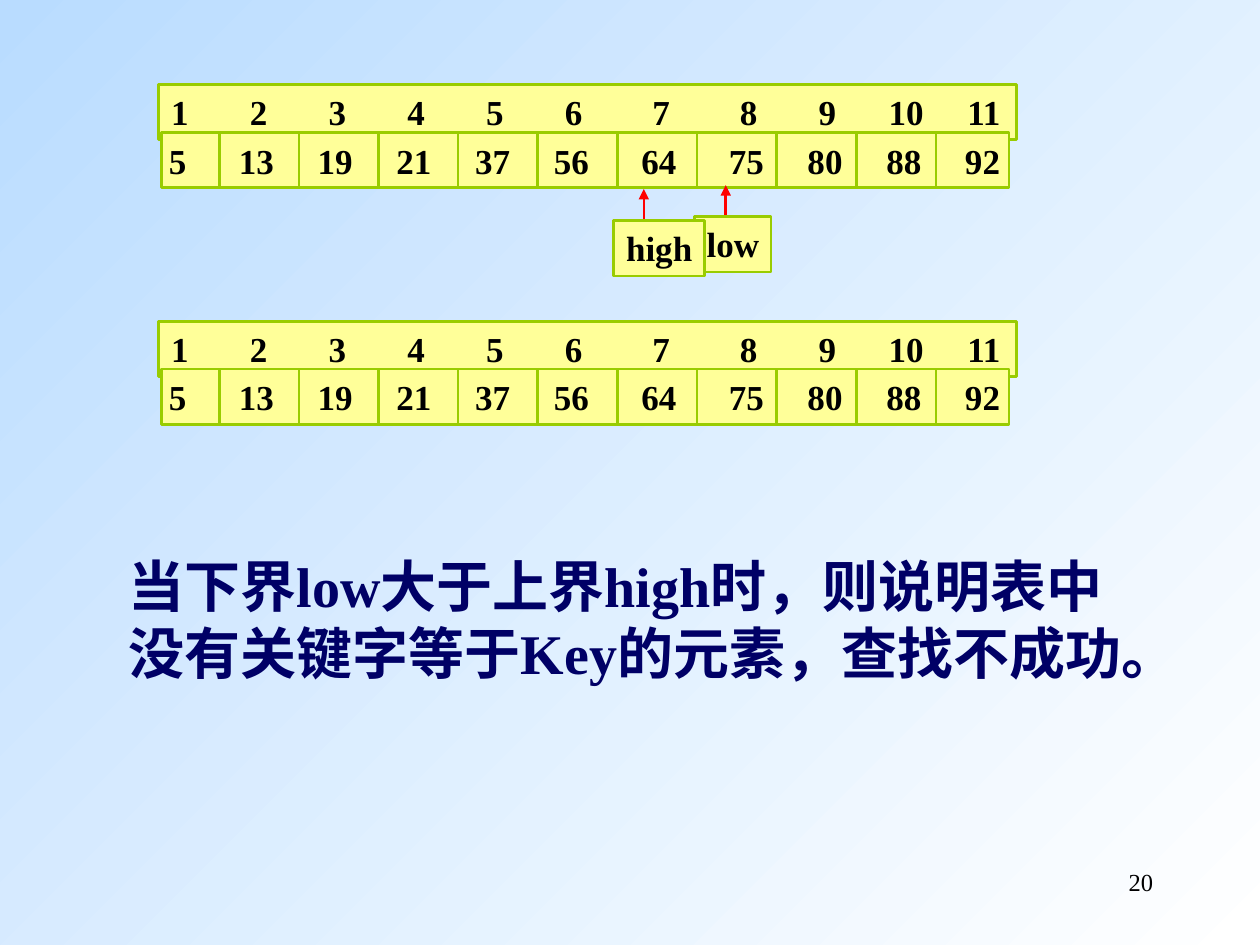
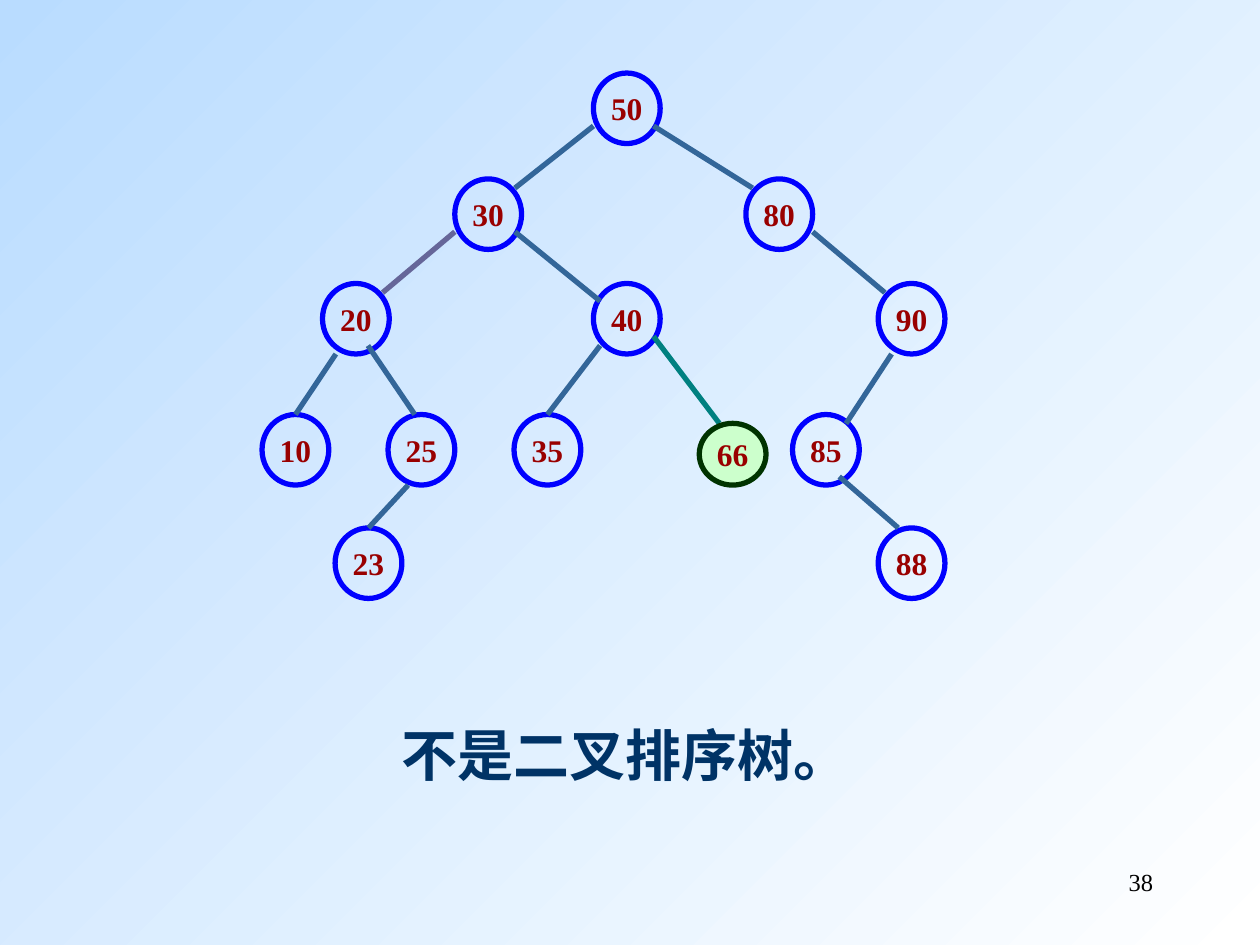
from dataclasses import dataclass
from itertools import accumulate
from pptx import Presentation
from pptx.dml.color import RGBColor
from pptx.enum.shapes import MSO_CONNECTOR, MSO_SHAPE
from pptx.enum.text import MSO_ANCHOR, PP_ALIGN
from pptx.oxml.ns import qn
from pptx.util import Inches, Pt
from lxml.etree import SubElement

INDEX = list(range(1, 12))
KEYS = [5, 13, 19, 21, 37, 56, 64, 75, 80, 88, 92]
INDEX_GAPS = [7, 7, 7, 7, 7, 8, 8, 7, 6, 5]
KEY_GAPS = [6, 5, 5, 5, 5, 6, 6, 5, 5, 5]
ARRAY_TOPS = [0.67, 2.55]
MARKS = [("low", 5.51, 1.72, 0.61, 5.76), ("high", 4.87, 1.75, 0.72, 5.11)]
RULE = "当下界low大于上界high时，则说明表中没有关键字等于Key的元素，查找不成功。"
VERDICT = "不是二叉排序树。"

LEVELS = [0.58, 1.42, 2.25, 3.29, 4.19]
NODES = {
    50: (4.71, 0), 30: (3.61, 1), 80: (5.92, 1), 20: (2.56, 2),
    90: (6.97, 2), 10: (2.08, 3), 85: (6.29, 3), 40: (4.71, 2),
    35: (4.08, 3), 25: (3.08, 3), 23: (2.66, 4), 88: (6.97, 4),
}
ODD_KEY, ODD_BOX = 66, (5.55, 3.36, 0.53, 0.49)
NODE_W, NODE_H = 0.53, 0.56
WEST, EAST = (0, 0.75), (0.9, 0.75)
NE, NW, TOP = (0.9, 0.13), (0.1, 0.13), (0.5, 0)
EDGES = [
    (50, WEST, 30, NE), (30, WEST, 20, NE), (50, EAST, 80, NW),
    (30, EAST, 40, (0.1, 0.25)), (20, (0.2, 1), 10, TOP),
    (20, (0.68, 0.88), 25, (0.4, 0)), (25, (0.3, 1), 23, TOP),
    (40, (0.1, 0.88), 35, TOP), (80, (1, 0.75), 90, NW),
    (90, (0.2, 1), 85, (0.8, 0.13)), (85, (0.7, 0.88), 88, (0.3, 0)),
    (40, EAST, ODD_KEY, (0.3, 0)),
]


@dataclass(frozen=True)
class Theme:
    font: str = "Times New Roman"
    sky: str = "B9DCFF"
    white: str = "FFFFFF"
    ink: str = "000000"
    cell: str = "FFFF99"
    rim: str = "99CC00"
    arrow: str = "FF0000"
    rule: str = "000066"
    verdict: str = "003366"
    ring: str = "0000FF"
    key: str = "990000"
    edge: str = "336699"
    dusk: str = "666699"
    teal: str = "008080"
    odd: str = "CCFFCC"
    moss: str = "003300"
    page: int = 14
    node: int = 18
    label: int = 20
    body: int = 32
    thin: float = 1.5
    thick: float = 3


T = Theme()
EDGE_HUES = {(30, 20): T.dusk, (40, ODD_KEY): T.teal}


def rgb(hue):
    return RGBColor.from_string(hue)


def write(shape, text, size, hue, bold=True, align=PP_ALIGN.LEFT,
          wrap=False, anchor=MSO_ANCHOR.TOP, stops=()):
    frame = shape.text_frame
    frame.word_wrap = wrap
    frame.vertical_anchor = anchor
    para = frame.paragraphs[0]
    para.text = text
    para.alignment = align
    if stops:
        tabs = SubElement(para._p.get_or_add_pPr(), qn("a:tabLst"))
        for stop in stops:
            SubElement(tabs, qn("a:tab"), pos=str(Inches(stop)), algn="l")
    font = para.font
    font.name, font.size, font.bold = T.font, Pt(size), bold
    font.color.rgb = rgb(hue)


def add_text(slide, box, *args, **kwargs):
    shape = slide.shapes.add_textbox(*map(Inches, box))
    write(shape, *args, **kwargs)


def add_box(slide, kind, box, fill, line, width):
    shape = slide.shapes.add_shape(kind, *map(Inches, box))
    shape.shadow.inherit = False
    if fill:
        shape.fill.solid()
        shape.fill.fore_color.rgb = rgb(fill)
    else:
        shape.fill.background()
    shape.line.color.rgb = rgb(line)
    shape.line.width = Pt(width)
    return shape


def add_cell(slide, box):
    return add_box(slide, MSO_SHAPE.RECTANGLE, box, T.cell, T.rim, T.thin)


def add_line(slide, start, end, hue, width, head=False):
    line = slide.shapes.add_connector(
        MSO_CONNECTOR.STRAIGHT, *map(Inches, (*start, *end)))
    line.line.color.rgb = rgb(hue)
    line.line.width = Pt(width)
    if head:
        SubElement(line.line._get_or_add_ln(), qn("a:tailEnd"), type="triangle")
    SubElement(line._element.spPr, qn("a:effectLst"))


def add_row(slide, box, items, gaps, inset, anchor):
    digit = T.label / 2 / 72
    steps = [len(str(item)) * digit + gap * digit / 2
             for item, gap in zip(items, gaps)]
    bar = add_cell(slide, box)
    bar.text_frame.margin_left = Inches(inset)
    bar.text_frame.margin_right = 0
    write(bar, "\t".join(map(str, items)), T.label, T.ink,
          wrap=True, anchor=anchor, stops=list(accumulate(steps)))


def add_array(slide, top):
    high = 0.44
    add_row(slide, (1.26, top, 6.81, high), INDEX, INDEX_GAPS, 0.1, MSO_ANCHOR.TOP)
    top += 0.38
    add_row(slide, (1.28, top, 6.73, high), KEYS, KEY_GAPS, 0.06, MSO_ANCHOR.MIDDLE)
    for col in range(len(KEYS) - 1):
        x = 1.74 + col * 0.632
        add_line(slide, (x, top), (x, top + high), T.rim, T.thin)


def add_node(slide, key, box, fill=None, line=T.ring):
    node = add_box(slide, MSO_SHAPE.OVAL, box, fill, line, T.thick)
    write(node, str(key), T.node, T.key, align=PP_ALIGN.CENTER,
          anchor=MSO_ANCHOR.MIDDLE)


def port(box, share):
    x, y, wide, high = box
    return x + wide * share[0], y + high * share[1]


def add_slide(deck, page):
    slide = deck.slides.add_slide(deck.slide_layouts[6])
    fill = slide.background.fill
    fill.gradient()
    fill.gradient_angle = 315
    for stop, hue in zip(fill.gradient_stops, (T.sky, T.white)):
        stop.color.rgb = rgb(hue)
    add_text(slide, (7.17, 6.83, 2.08, 0.5), str(page), T.page, T.ink,
             bold=False, align=PP_ALIGN.RIGHT, wrap=True)
    return slide


def draw_search(deck):
    slide = add_slide(deck, 20)
    for top in ARRAY_TOPS:
        add_array(slide, top)
    for name, x, y, wide, tip in MARKS:
        add_line(slide, (tip, y + 0.14), (tip, y - 0.25), T.arrow, T.thin, True)
        write(add_cell(slide, (x, y, wide, 0.44)), name, T.label, T.ink)
    add_text(slide, (0.92, 4.33, 8.33, 1.7), RULE, T.body, T.rule, wrap=True)


def draw_tree(deck):
    slide = add_slide(deck, 38)
    boxes = {key: (x, LEVELS[level], NODE_W, NODE_H)
             for key, (x, level) in NODES.items()}
    for key, box in boxes.items():
        add_node(slide, key, box)
    boxes[ODD_KEY] = ODD_BOX
    for top, out, low, into in EDGES:
        add_line(slide, port(boxes[top], out), port(boxes[low], into),
                 EDGE_HUES.get((top, low), T.edge), T.thick)
    add_node(slide, ODD_KEY, ODD_BOX, T.odd, T.moss)
    add_text(slide, (3.09, 5.67, 3.76, 0.64), VERDICT, T.body, T.verdict)


def main():
    deck = Presentation()
    deck.slide_width, deck.slide_height = Inches(10), Inches(7.5)
    draw_search(deck)
    draw_tree(deck)
    deck.save("out.pptx")


if __name__ == "__main__":
    main()
